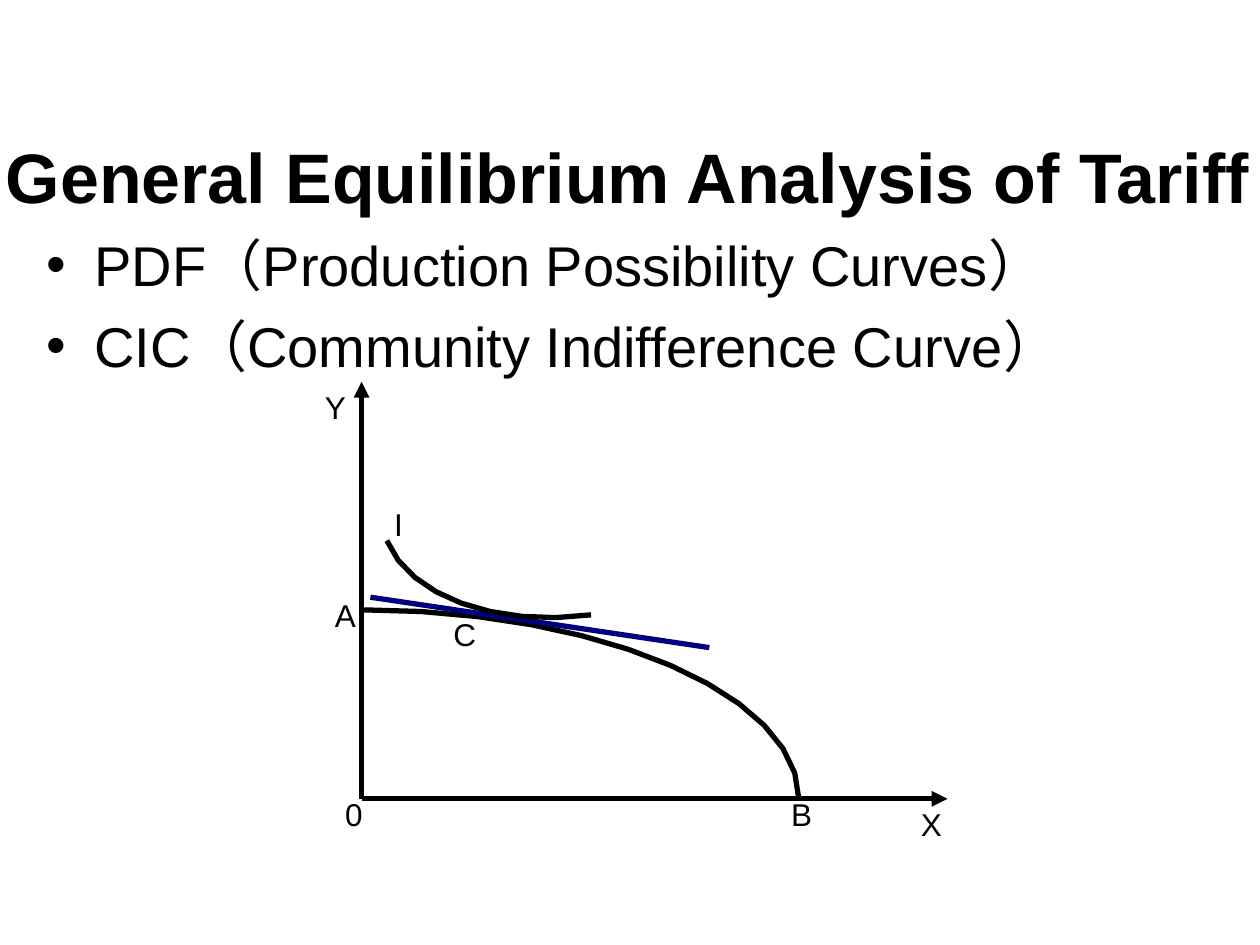
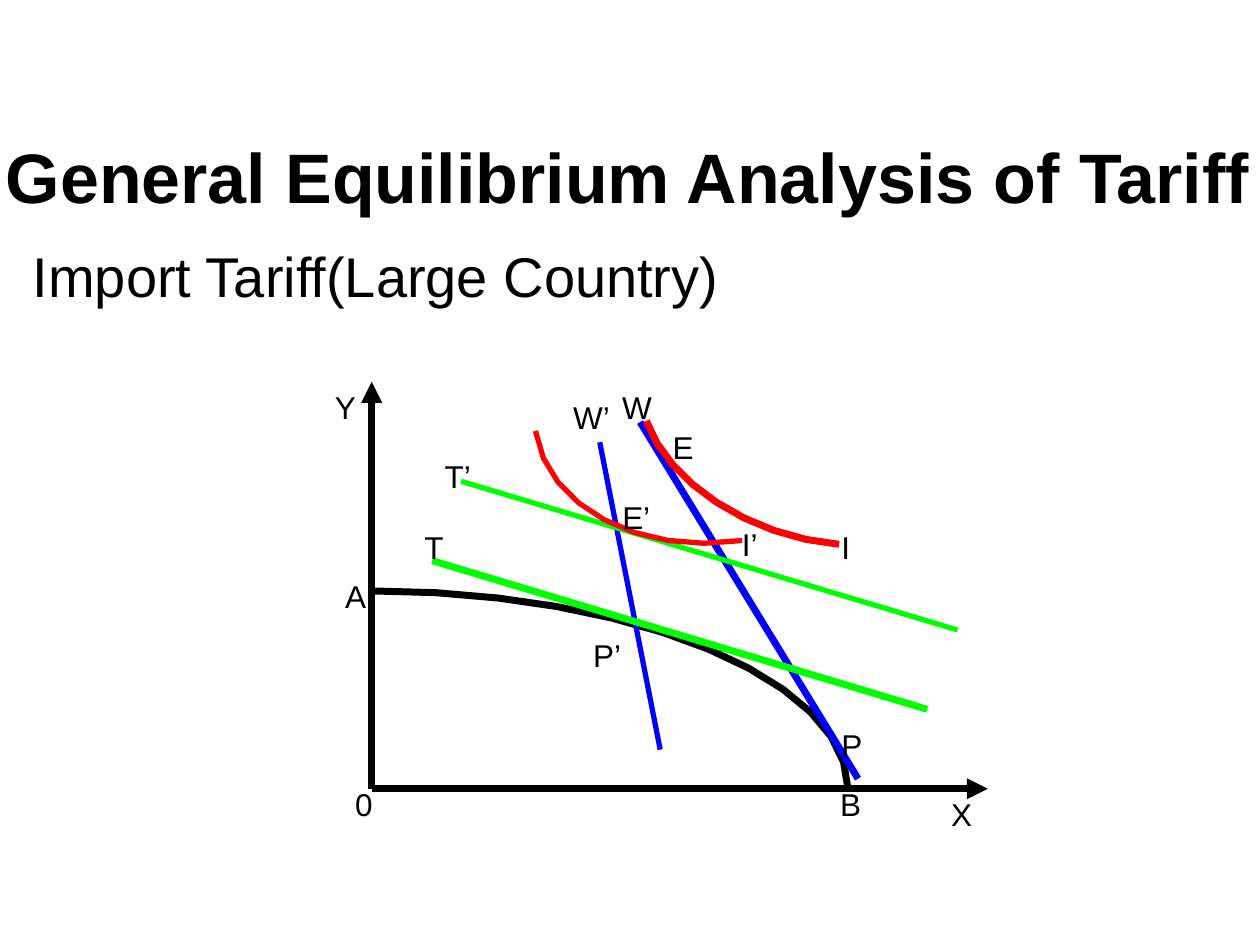
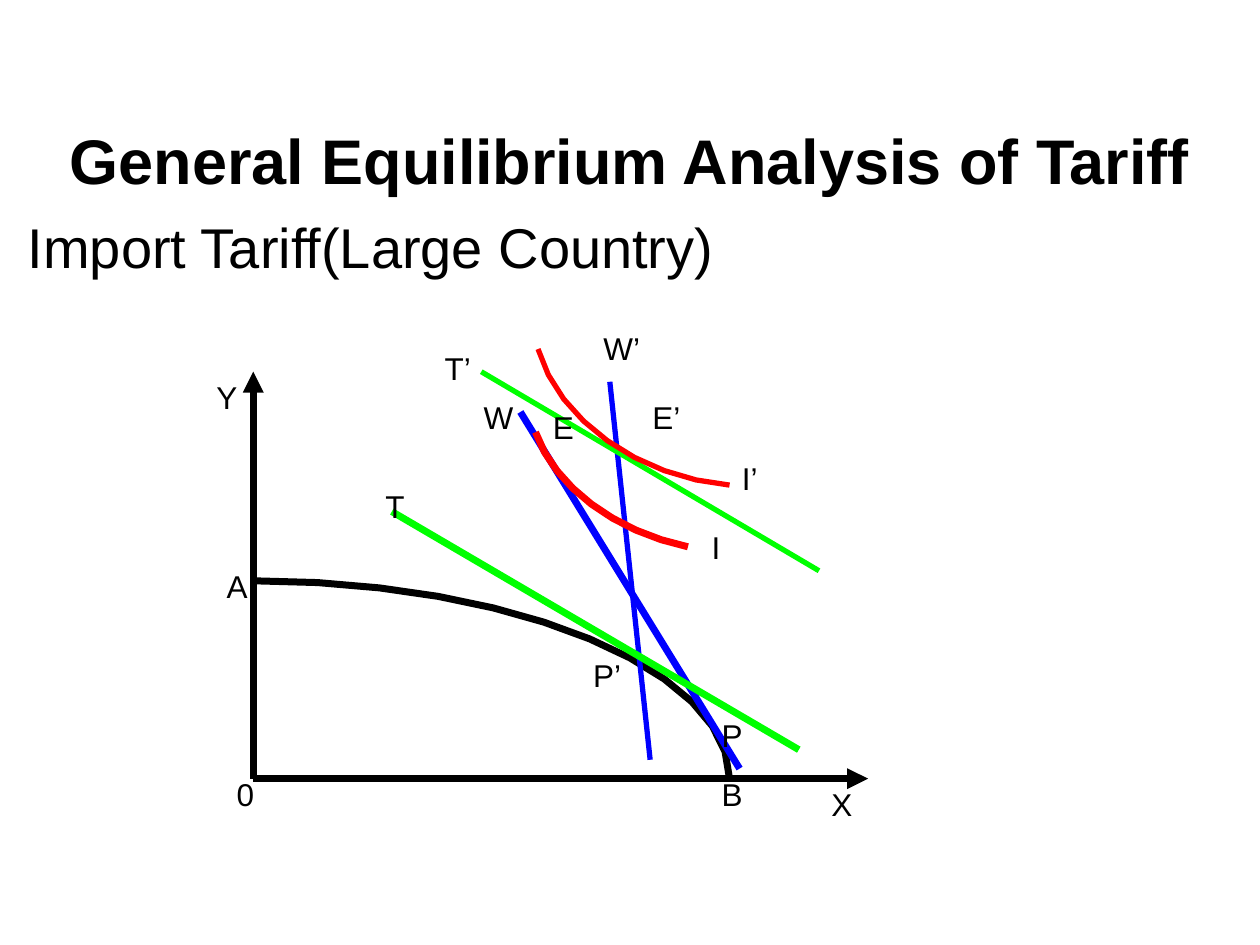
from dataclasses import dataclass

import pptx
import pptx.dml.color
import pptx.enum.dml
import pptx.enum.shapes
import pptx.enum.text
import pptx.oxml.ns
import pptx.util
from lxml import etree

Inches = pptx.util.Inches
Pt = pptx.util.Pt
Align = pptx.enum.text.PP_ALIGN
Anchor = pptx.enum.text.MSO_ANCHOR


@dataclass(frozen=True)
class Theme:
    font: str = "Arial"
    ink: str = "000000"
    navy: str = "000080"
    world: str = "0000FF"
    domestic: str = "00FF00"
    indifference: str = "FF0000"
    title_size: int = 40
    small_title_size: int = 36
    body_size: int = 32
    label_size: int = 18
    thin: float = 3
    thick: float = 4


THEME = Theme()
TITLE = "General Equilibrium Analysis of Tariff"
TITLE_BOX = (-0.12, 1.08, 10.2, 0.62)
TARIFF_TEXT = ["Import Tariff(Large Country)"]
LABEL_WIDTHS = {"0": 0.34, "C": 0.38, "I": 0.27, "I’": 0.32, "T": 0.35, "T’": 0.41,
                "W": 0.43, "W’": 0.49, "E’": 0.42, "P’": 0.42}
LETTER_WIDTH = 0.36
LABEL_HEIGHT = 0.4


# Text
def add_bullet(paragraph):
    properties = paragraph._p.get_or_add_pPr()
    properties.set("marL", str(Inches(0.38)))
    properties.set("indent", str(Inches(-0.38)))
    etree.SubElement(properties, pptx.oxml.ns.qn("a:buFont"), typeface=THEME.font)
    etree.SubElement(properties, pptx.oxml.ns.qn("a:buChar"), char="•")


def remove_bullet(paragraph):
    properties = paragraph._p.get_or_add_pPr()
    properties.set("marL", "0")
    properties.set("indent", "0")
    etree.SubElement(properties, pptx.oxml.ns.qn("a:buNone"))


def write_text(paragraph, text, size, color=THEME.ink, bold=False, align=Align.LEFT, before=0):
    paragraph.alignment = align
    paragraph.space_before = Pt(before)
    run = paragraph.add_run()
    run.text = text
    run.font.name = THEME.font
    run.font.size = Pt(size)
    run.font.bold = bold
    run.font.color.rgb = pptx.dml.color.RGBColor.from_string(color)


def prepare_frame(shape, box, insets, anchor=Anchor.TOP, wrap=True):
    shape.left, shape.top, shape.width, shape.height = map(Inches, box)
    frame = shape.text_frame
    frame.auto_size = pptx.enum.text.MSO_AUTO_SIZE.NONE
    frame.word_wrap = wrap
    frame.vertical_anchor = anchor
    frame.margin_left = frame.margin_right = Inches(insets[0])
    frame.margin_top = frame.margin_bottom = Inches(insets[1])
    return frame


def add_text_slide(presentation, title_box, title_size, body_box, lines, bulleted=False):
    slide = presentation.slides.add_slide(presentation.slide_layouts[1])
    title = prepare_frame(slide.shapes.title, title_box, (0.08, 0), anchor=Anchor.MIDDLE)
    write_text(title.paragraphs[0], TITLE, title_size, bold=True, align=Align.CENTER)
    body = prepare_frame(slide.placeholders[1], body_box, (0.1, 0.05))
    for index, line in enumerate(lines):
        paragraph = body.add_paragraph() if index else body.paragraphs[0]
        if bulleted:
            add_bullet(paragraph)
        else:
            remove_bullet(paragraph)
        write_text(paragraph, line, THEME.body_size, before=8 if index else 0)
    return slide


# Drawing: every point is measured from the top left of the graph box
def place(box, point):
    return Inches(box[0] + point[0]), Inches(box[1] + point[1])


def format_line(line, color, width):
    line.fill.solid()
    line.fill.fore_color.rgb = pptx.dml.color.RGBColor.from_string(color)
    line.width = Pt(width)


def add_line(slide, box, start, end, color, width, arrow=False, dash=None):
    connector = slide.shapes.add_connector(
        pptx.enum.shapes.MSO_CONNECTOR.STRAIGHT, *place(box, start), *place(box, end))
    format_line(connector.line, color, width)
    if dash:
        connector.line.dash_style = dash
    if arrow:
        etree.SubElement(connector.line._get_or_add_ln(), pptx.oxml.ns.qn("a:tailEnd"),
                         type="triangle")
    etree.SubElement(connector._element.spPr, pptx.oxml.ns.qn("a:effectLst"))


def bezier_point(controls, t):
    weights = ((1 - t) ** 3, 3 * t * (1 - t) ** 2, 3 * t ** 2 * (1 - t), t ** 3)
    return tuple(sum(weight * control[axis] for weight, control in zip(weights, controls))
                 for axis in (0, 1))


def add_curve(slide, box, controls, color, width, steps=8):
    """Draw a cubic curve given by its two ends and two handles."""
    points = [bezier_point(controls, step / steps) for step in range(1, steps + 1)]
    builder = slide.shapes.build_freeform(*place(box, controls[0]))
    builder.add_line_segments([place(box, point) for point in points], close=False)
    curve = builder.convert_to_shape()
    curve.shadow.inherit = False
    curve.fill.background()
    format_line(curve.line, color, width)


def add_label(slide, box, text, point):
    size = (LABEL_WIDTHS.get(text, LETTER_WIDTH), LABEL_HEIGHT)
    label_box = (box[0] + point[0], box[1] + point[1], *size)
    shape = slide.shapes.add_textbox(*map(Inches, label_box))
    frame = prepare_frame(shape, label_box, (0.1, 0.05), wrap=False)
    write_text(frame.paragraphs[0], text, THEME.label_size)


def add_production_graph(slide, box, frontier, width, x_offset=0.39):
    """Draw axes and the frontier from A on the Y axis to B on the X axis."""
    _, _, right, bottom = box
    reach, rise = frontier
    origin, top = (0, bottom), bottom - rise
    add_line(slide, box, origin, (0, 0), THEME.ink, width, arrow=True)
    add_line(slide, box, origin, (right, bottom), THEME.ink, width, arrow=True)
    quarter = 0.55
    add_curve(slide, box, [(0, top), (reach * quarter, top),
                           (reach, bottom - rise * quarter), (reach, bottom)],
              THEME.ink, width, steps=12)
    for text, point in {"A": (-0.31, top - 0.16), "Y": (-0.39, 0),
                        "0": (-0.23, bottom - 0.08), "B": (reach - 0.16, bottom - 0.08),
                        "X": (right - x_offset, bottom)}.items():
        add_label(slide, box, text, point)


def add_tariff_graph(slide, box, lines, curves, labels):
    add_production_graph(slide, box, (3.78, 1.57), THEME.thick)
    for start, end, color, width in lines:
        add_line(slide, box, start, end, color, width)
    for controls, width in curves:
        add_curve(slide, box, controls, THEME.indifference, width)
    for text, point in labels.items():
        add_label(slide, box, text, point)


# Slides
def build_closed_economy(presentation):
    slide = add_text_slide(
        presentation, TITLE_BOX, THEME.title_size, (0.27, 1.78, 9, 4.21),
        ["PDF（Production Possibility Curves）", "CIC（Community Indifference Curve）"],
        bulleted=True)
    box = (2.87, 3.03, 4.65, 3.31)
    add_production_graph(slide, box, (3.47, 1.5), THEME.thin, x_offset=0.31)
    add_line(slide, box, (0.07, 1.71), (2.76, 2.11), THEME.navy, THEME.thin)
    add_line(slide, box, (0, 3.3), (3.31, 3.3), THEME.ink, 0.75,
             dash=pptx.enum.dml.MSO_LINE.LONG_DASH)
    add_curve(slide, box, [(0.2, 1.26), (0.38, 1.7), (1.06, 1.95), (1.82, 1.85)],
              THEME.ink, THEME.thin)
    add_label(slide, box, "I", (0.16, 0.93))
    add_label(slide, box, "C", (0.63, 1.8))


def build_terms_of_trade_gain(presentation):
    slide = add_text_slide(presentation, TITLE_BOX, THEME.title_size,
                           (0.16, 1.87, 9, 4.21), TARIFF_TEXT)
    add_tariff_graph(
        slide, (2.95, 3.03, 4.89, 3.23),
        lines=[((2.13, 0.32), (3.86, 3.15), THEME.world, THEME.thick),
               ((1.81, 0.48), (2.29, 2.92), THEME.world, THEME.thin),
               ((0.48, 1.42), (4.41, 2.6), THEME.domestic, THEME.thick),
               ((0.71, 0.79), (4.65, 1.97), THEME.domestic, THEME.thin)],
        curves=[([(1.3, 0.39), (1.39, 0.99), (2.12, 1.38), (2.94, 1.26)], THEME.thin),
                ([(2.18, 0.31), (2.35, 0.79), (2.99, 1.23), (3.71, 1.29)], THEME.thick)],
        labels={"P": (3.63, 2.68), "I’": (2.84, 1.09), "I": (3.63, 1.11), "W": (1.89, 0),
                "W’": (1.5, 0.08), "T’": (0.48, 0.55), "T": (0.32, 1.11),
                "E’": (1.89, 0.87), "E": (2.29, 0.32), "P’": (1.66, 1.97)})


def build_welfare_gain(presentation):
    slide = add_text_slide(presentation, (-0.1, 0.95, 10.2, 0.63), THEME.small_title_size,
                           (0.12, 1.64, 9, 1.32), TARIFF_TEXT)
    add_tariff_graph(
        slide, (2.01, 2.95, 4.88, 3.23),
        lines=[((2.12, 0.32), (3.86, 3.15), THEME.world, THEME.thick),
               ((2.83, 0.08), (3.15, 3.08), THEME.world, THEME.thin),
               ((1.1, 1.11), (4.33, 3), THEME.domestic, THEME.thick),
               ((1.81, 0), (4.49, 1.58), THEME.domestic, THEME.thin)],
        curves=[([(2.24, 0.48), (2.39, 0.91), (2.87, 1.27), (3.45, 1.39)], THEME.thick),
                ([(2.26, -0.18), (2.42, 0.38), (3.06, 0.84), (3.78, 0.9)], THEME.thin)],
        labels={"P": (3.62, 2.68), "I’": (3.78, 0.64), "I": (3.54, 1.19), "W": (1.73, 0.16),
                "W’": (2.68, -0.39), "T’": (1.42, -0.23), "T": (0.95, 0.87),
                "E’": (3.07, 0.16), "E": (2.28, 0.24), "P’": (2.6, 2.21)})


def main():
    presentation = pptx.Presentation()
    presentation.slide_width, presentation.slide_height = Inches(10), Inches(7.5)
    build_closed_economy(presentation)
    build_terms_of_trade_gain(presentation)
    build_welfare_gain(presentation)
    presentation.save("out.pptx")


if __name__ == "__main__":
    main()
